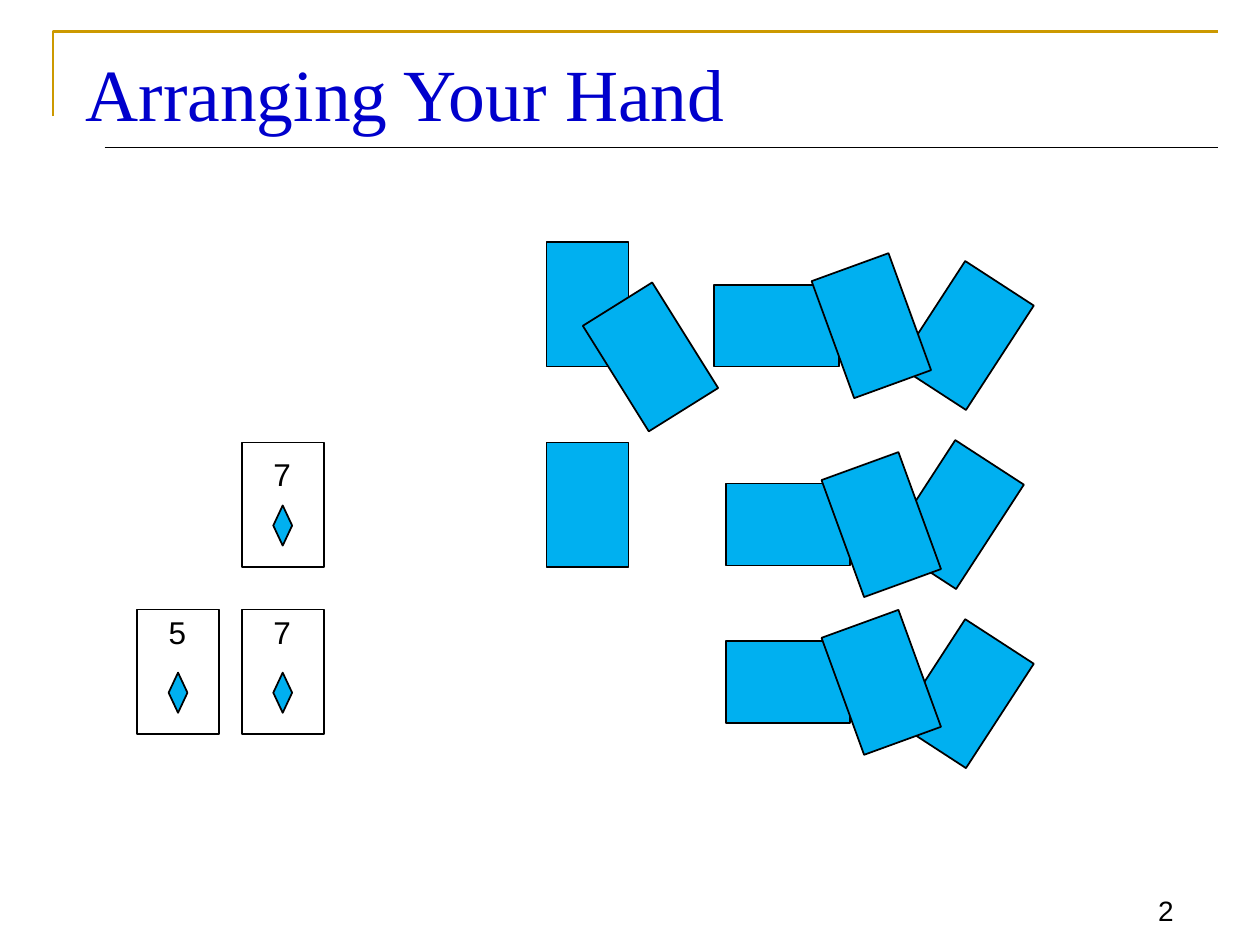
"""Build the "Arranging Your Hand" slide: three stages of sorting a hand of cards."""
from dataclasses import dataclass

from lxml import etree
from pptx import Presentation
from pptx.dml.color import RGBColor
from pptx.enum.shapes import MSO_CONNECTOR, MSO_SHAPE
from pptx.enum.text import MSO_ANCHOR, MSO_AUTO_SIZE, PP_ALIGN
from pptx.oxml.ns import qn
from pptx.util import Cm, Pt

RECTANGLE, DIAMOND = MSO_SHAPE.RECTANGLE, MSO_SHAPE.DIAMOND
STRAIGHT = MSO_CONNECTOR.STRAIGHT
BOTTOM, TOP = MSO_ANCHOR.BOTTOM, MSO_ANCHOR.TOP
LEFT, RIGHT = PP_ALIGN.LEFT, PP_ALIGN.RIGHT
NO_AUTOFIT = MSO_AUTO_SIZE.NONE


@dataclass(frozen=True)
class Theme:
    title: RGBColor = RGBColor(0x00, 0x00, 0xCC)
    ink: RGBColor = RGBColor(0x00, 0x00, 0x00)
    frame: RGBColor = RGBColor(0xCC, 0x99, 0x00)
    card: RGBColor = RGBColor(0x00, 0xB0, 0xF0)
    title_font: str = "Times New Roman"
    body_font: str = "Arial"
    title_size: Pt = Pt(42)
    rank_size: Pt = Pt(18)
    number_size: Pt = Pt(16)


theme = Theme()
CARD_WIDTH, CARD_HEIGHT = 1.65, 2.51

deck = Presentation()
deck.slide_width, deck.slide_height = Cm(25.4), Cm(19.05)
page = deck.slides.add_slide(deck.slide_layouts[5])


def add_figure(kind, left, top, width, height, fill=None, rotation=0):
    shape = page.shapes.add_shape(kind, Cm(left), Cm(top), Cm(width), Cm(height))
    shape.shadow.inherit = False
    shape.rotation = rotation
    if fill is None:
        shape.fill.background()
    else:
        shape.fill.solid()
        shape.fill.fore_color.rgb = fill
    shape.line.color.rgb = theme.ink
    shape.line.width = Pt(1)


def write_text(box, text, font, size, color, align, anchor, wrap):
    frame = box.text_frame
    frame.text = text
    frame.word_wrap = wrap
    frame.auto_size = NO_AUTOFIT
    frame.vertical_anchor = anchor
    para = frame.paragraphs[0]
    para.alignment = align
    para.font.name = font
    para.font.size = size
    para.font.color.rgb = color


builder = page.shapes.build_freeform(Cm(1.07), Cm(2.34))
builder.add_line_segments([(Cm(1.07), Cm(0.64)), (Cm(24.56), Cm(0.64))], close=False)
corner = builder.convert_to_shape()
corner.shadow.inherit = False
corner.fill.background()
corner.line.color.rgb = theme.frame
corner.line.width = Pt(1.5)

rule = page.shapes.add_connector(STRAIGHT, Cm(2.11), Cm(2.97), Cm(24.56), Cm(2.97))
rule.line.color.rgb = theme.ink
rule.line.width = Pt(0.75)
etree.SubElement(rule.element.spPr, qn("a:effectLst"))

title = page.shapes.title
title.left, title.top, title.width, title.height = Cm(1.47), Cm(0.84), Cm(23.06), Cm(1.91)
write_text(title, "Arranging Your Hand", theme.title_font, theme.title_size,
           theme.title, LEFT, BOTTOM, True)
title.text_frame.margin_bottom = 0

number = page.shapes.add_textbox(Cm(22.23), Cm(17.58), Cm(1.68), Cm(1.24))
write_text(number, "2", theme.body_font, theme.number_size, theme.ink, RIGHT, BOTTOM, True)

upright_cards = [
    (11.02, 4.88, 0), (12.29, 5.94, 328), (11.02, 8.92, 0),
]
for left, top, rotation in upright_cards:
    add_figure(RECTANGLE, left, top, CARD_WIDTH, CARD_HEIGHT, theme.card, rotation)

fanned_piles = [
    ((14.4, 5.74), (18.64, 5.51), (16.74, 5.31)),
    ((14.63, 9.75), (18.44, 9.12), (16.94, 9.32)),
    ((14.63, 12.93), (18.64, 12.73), (16.94, 12.5)),
]
for sideways, leaning_right, leaning_left in fanned_piles:
    add_figure(RECTANGLE, *sideways, CARD_HEIGHT, CARD_WIDTH, theme.card)
    add_figure(RECTANGLE, *leaning_right, CARD_WIDTH, CARD_HEIGHT, theme.card, 33)
    add_figure(RECTANGLE, *leaning_left, CARD_WIDTH, CARD_HEIGHT, theme.card, 340)

sorted_cards = [
    ("7", 4.88, 8.92, 9.04), ("5", 2.77, 12.29, 12.24), ("7", 4.88, 12.29, 12.24),
]
for rank, left, top, rank_top in sorted_cards:
    add_figure(RECTANGLE, left, top, CARD_WIDTH, CARD_HEIGHT)
    add_figure(DIAMOND, left + 0.63, top + 1.27, 0.38, 0.81, theme.card)
    label = page.shapes.add_textbox(Cm(left + 0.38), Cm(rank_top), Cm(0.9), Cm(1.2))
    write_text(label, rank, theme.body_font, theme.rank_size, theme.ink, LEFT, TOP, False)

deck.save("out.pptx")
